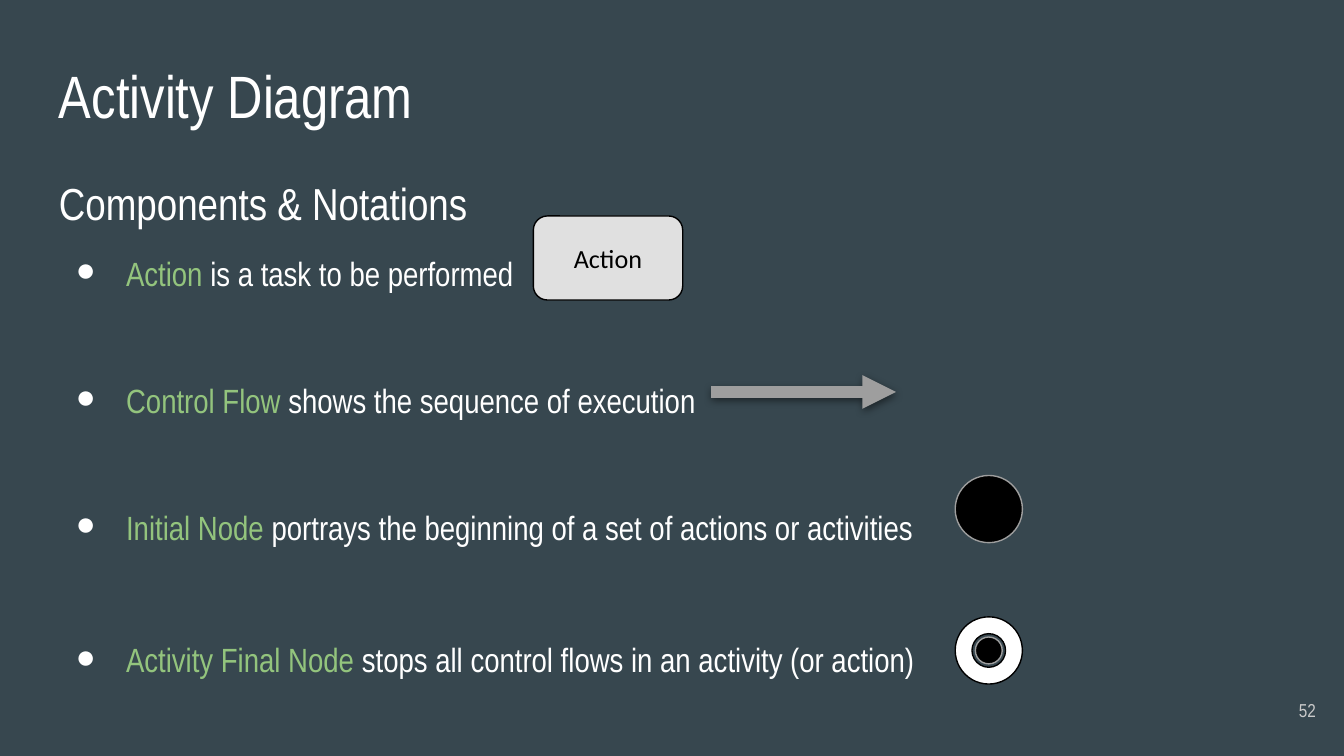
from dataclasses import dataclass

from lxml.etree import SubElement
from pptx import Presentation
from pptx.dml.color import RGBColor
from pptx.enum.shapes import MSO_CONNECTOR, MSO_SHAPE
from pptx.enum.text import MSO_ANCHOR, PP_ALIGN
from pptx.oxml.ns import qn
from pptx.util import Pt


@dataclass(frozen=True)
class Theme:
    background: str = "37474F"
    text: str = "FFFFFF"
    accent: str = "93C47D"
    muted: str = "CACACA"
    gray: str = "9E9E9E"
    light: str = "E0E0E0"
    black: str = "000000"
    font: str = "Arial Narrow"
    label_font: str = "Calibri"
    title: int = 32
    heading: int = 24
    body: int = 18
    label: int = 14
    number: int = 10
    inset: float = 7.2
    outline: float = 0.75


THEME = Theme()

COMPONENTS = [
    ("Action", " is a task to be performed", 1.3, 6),
    ("Control Flow", " shows the sequence of execution", 1.3, 40),
    ("Initial Node", " portrays the beginning of a set of actions or activities", 1.3, 40),
    ("Activity Final Node", " stops all control flows in an activity (or action)", 1.15, 46),
]


def rgb(color):
    return RGBColor.from_string(color)


def add_xml(parent, tag, **attributes):
    return SubElement(parent, qn(tag), attributes)


def style_font(font, size, color, name=THEME.font):
    font.size = Pt(size)
    font.name = name
    font.color.rgb = rgb(color)


def set_insets(tf):
    tf.word_wrap = True
    tf.margin_left = tf.margin_right = Pt(THEME.inset)
    tf.margin_top = tf.margin_bottom = Pt(THEME.inset)


def add_text(s, box, text, size, color, align=PP_ALIGN.LEFT):
    tf = s.shapes.add_textbox(*map(Pt, box)).text_frame
    set_insets(tf)
    p = tf.paragraphs[0]
    p.text = text
    p.alignment = align
    style_font(p.font, size, color)
    return tf


def add_bullet(p):
    ppr = p._p.get_or_add_pPr()
    ppr.set("marL", str(Pt(36)))
    ppr.set("indent", str(Pt(-27)))
    add_xml(add_xml(ppr, "a:buClr"), "a:srgbClr", val=THEME.text)
    add_xml(ppr, "a:buFont", typeface=THEME.font)
    add_xml(ppr, "a:buChar", char="●")


def add_components(s, box):
    tf = add_text(s, box, "Components & Notations", THEME.heading, THEME.text)
    tf.paragraphs[0].line_spacing = 1.3
    for term, meaning, spacing, before in COMPONENTS:
        p = tf.add_paragraph()
        add_bullet(p)
        p.line_spacing = spacing
        p.space_before = Pt(before)
        style_font(p.font, THEME.body, THEME.text)
        r = p.add_run()
        r.text = term
        r.font.color.rgb = rgb(THEME.accent)
        p.add_run().text = meaning


def add_node(s, kind, box, fill, line):
    sp = s.shapes.add_shape(kind, *map(Pt, box))
    sp.shadow.inherit = False
    sp.fill.solid()
    sp.fill.fore_color.rgb = rgb(fill)
    sp.line.color.rgb = rgb(line)
    sp.line.width = Pt(THEME.outline)
    return sp


def add_action(s, box):
    sp = add_node(s, MSO_SHAPE.ROUNDED_RECTANGLE, box, THEME.light, THEME.black)
    tf = sp.text_frame
    set_insets(tf)
    tf.vertical_anchor = MSO_ANCHOR.MIDDLE
    p = tf.paragraphs[0]
    p.text = "Action"
    p.alignment = PP_ALIGN.CENTER
    style_font(p.font, THEME.label, THEME.black, THEME.label_font)


def add_control_flow(s, box):
    left, top, width, height = box
    y = top + height / 2
    arrow = s.shapes.add_connector(
        MSO_CONNECTOR.STRAIGHT, Pt(left), Pt(y), Pt(left + width), Pt(y)
    )
    arrow.line.color.rgb = rgb(THEME.gray)
    arrow.line.width = Pt(6)
    add_xml(arrow.line._get_or_add_ln(), "a:tailEnd", type="triangle")
    effects = add_xml(arrow._element.spPr, "a:effectLst")
    shadow = add_xml(
        effects, "a:outerShdw", blurRad=str(Pt(4.5)), dist=str(Pt(1.5)),
        dir="5400000", algn="bl", rotWithShape="0",
    )
    color = add_xml(shadow, "a:srgbClr", val=THEME.black)
    add_xml(color, "a:alpha", val="50000")


def add_initial_node(s, box):
    add_node(s, MSO_SHAPE.OVAL, box, THEME.black, THEME.gray)


def add_final_node(s, box):
    left, top, width, height = box
    ring = add_node(s, MSO_SHAPE.DONUT, box, THEME.text, THEME.black)
    ring.adjustments[0] = 0.25
    core = (left + 0.3 * width, top + 0.3 * height, 0.4 * width, 0.4 * height)
    add_initial_node(s, core)


def add_activity_slide(prs):
    s = prs.slides.add_slide(prs.slide_layouts[6])
    s.background.fill.solid()
    s.background.fill.fore_color.rgb = rgb(THEME.background)
    add_text(s, (24.5, 24.5, 239, 45.5), "Activity Diagram", THEME.title, THEME.text)
    add_components(s, (24.5, 78.5, 504, 288))
    add_text(s, (669, 368.5, 43, 31), "52", THEME.number, THEME.muted, PP_ALIGN.RIGHT)
    add_control_flow(s, (381, 201, 99, 18))
    add_action(s, (285.75, 115.75, 80, 45))
    add_initial_node(s, (511.75, 254.75, 36, 36))
    add_final_node(s, (511.75, 330.5, 36, 36))


def main():
    prs = Presentation()
    prs.slide_width = Pt(720)
    prs.slide_height = Pt(405)
    add_activity_slide(prs)
    prs.save("out.pptx")


if __name__ == "__main__":
    main()
